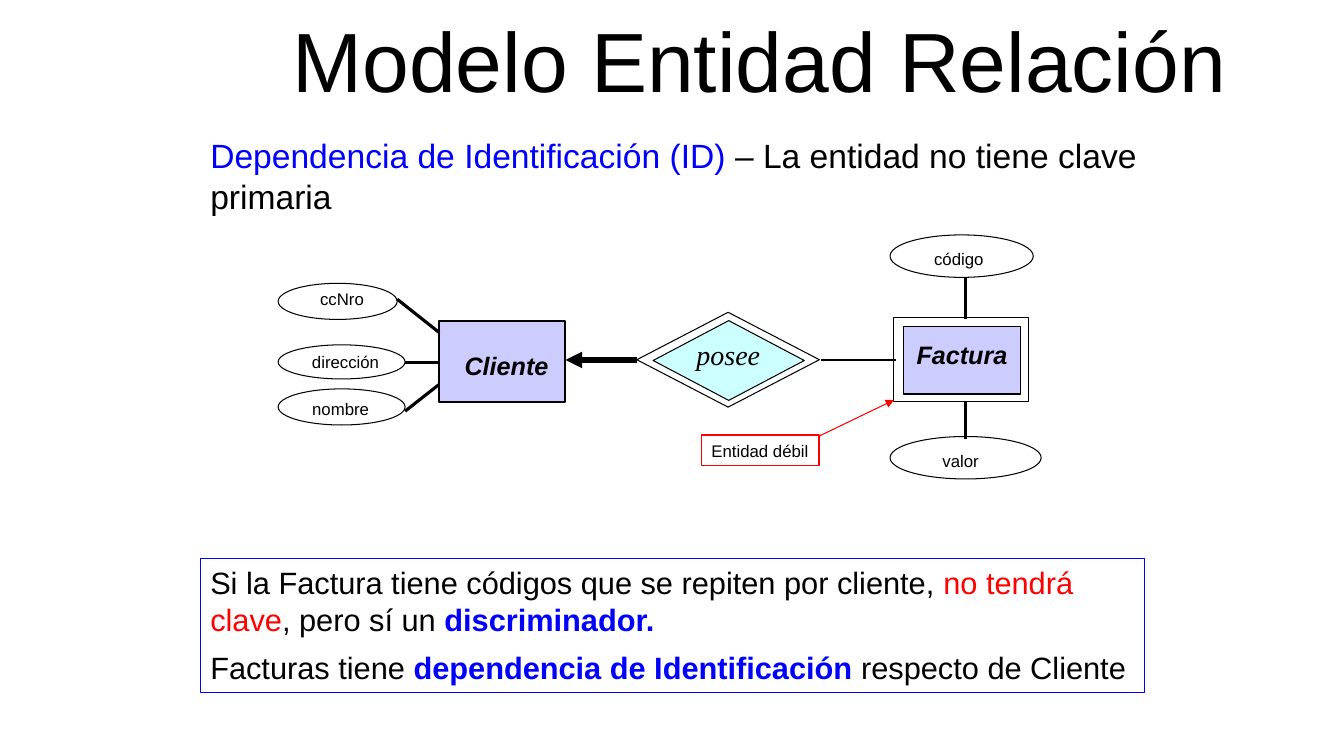
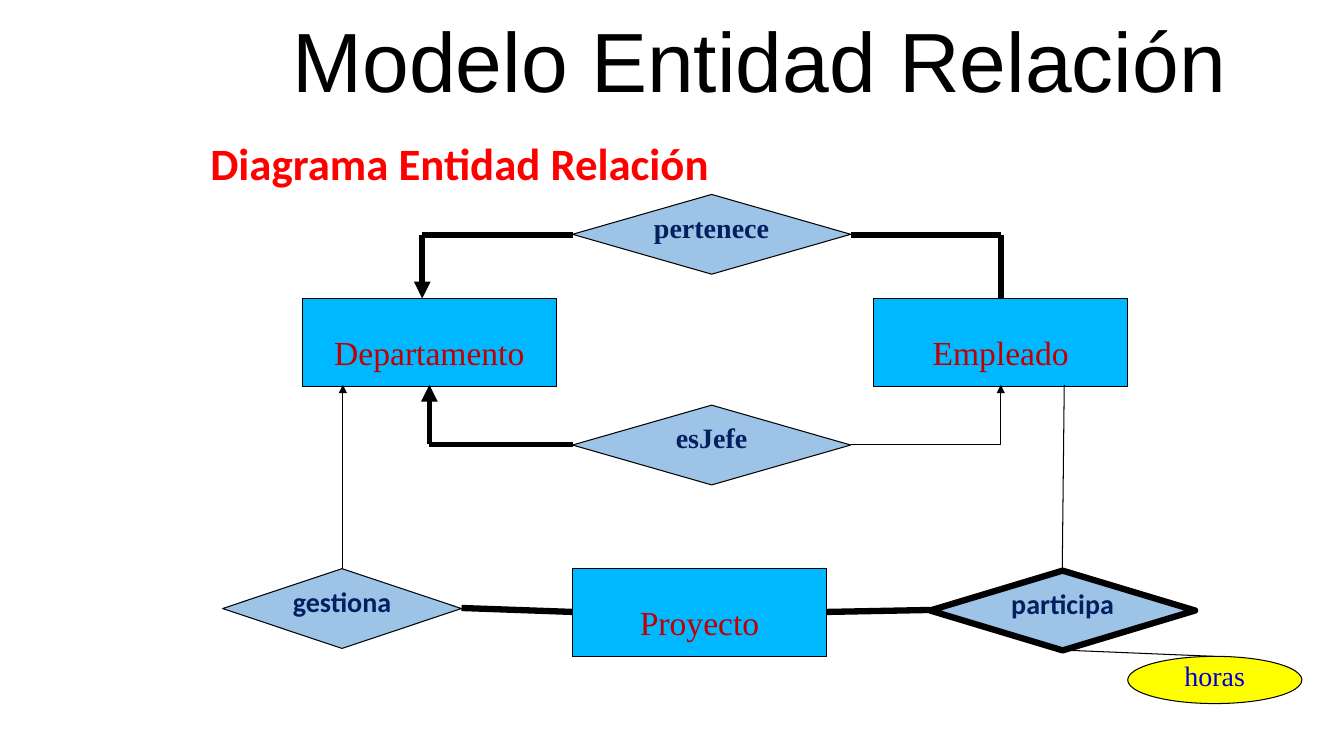
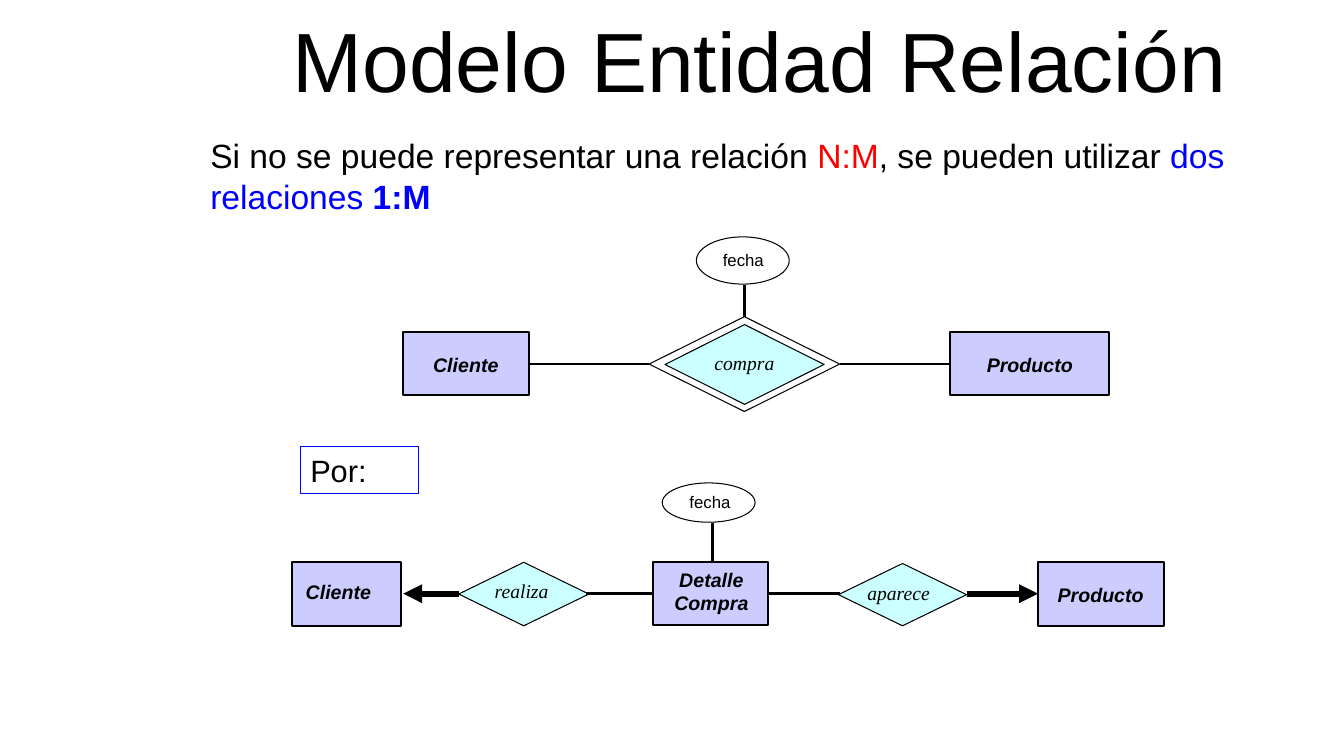
import lxml.etree
import pptx
import pptx.dml.color
import pptx.enum.shapes
import pptx.enum.text
import pptx.oxml.ns
import pptx.util

Cm = pptx.util.Cm
Pt = pptx.util.Pt
RGBColor = pptx.dml.color.RGBColor
MSO_SHAPE = pptx.enum.shapes.MSO_SHAPE
PP_ALIGN = pptx.enum.text.PP_ALIGN
MSO_ANCHOR = pptx.enum.text.MSO_ANCHOR
qn = pptx.oxml.ns.qn

BLACK = RGBColor(0x00, 0x00, 0x00)
BLUE = RGBColor(0x00, 0x00, 0xFF)
RED = RGBColor(0xFF, 0x00, 0x00)
LILAC = RGBColor(0xCC, 0xCC, 0xFF)
PALE_CYAN = RGBColor(0xCC, 0xFF, 0xFF)
SKY = RGBColor(0x00, 0xB8, 0xFF)
STEEL = RGBColor(0x9D, 0xC3, 0xE6)
YELLOW = RGBColor(0xFF, 0xFF, 0x00)
DARK_RED = RGBColor(0xC0, 0x00, 0x00)
NAVY = RGBColor(0x00, 0x20, 0x60)
INK_BLUE = RGBColor(0x00, 0x00, 0xCC)

SERIF = "Times New Roman"
TITLE_BOX = (5.05, 0, 28.17, 3.28)
INTRO_BOX = (5.05, 3.28, 26.44, 2.31)

# Shape style and label style of each role in the diagrams
ROLES = {
    "entity": (
        dict(kind=MSO_SHAPE.RECTANGLE, fill=LILAC, line=BLACK, width=1.5),
        dict(bold=True, italic=True, align=PP_ALIGN.CENTER),
    ),
    "weak entity": (
        dict(kind=MSO_SHAPE.RECTANGLE, fill=LILAC, line=BLACK),
        dict(bold=True, italic=True, align=PP_ALIGN.CENTER),
    ),
    "relation": (
        dict(kind=MSO_SHAPE.DIAMOND, fill=PALE_CYAN, line=BLACK),
        dict(font=SERIF, italic=True, align=PP_ALIGN.CENTER,
             anchor=MSO_ANCHOR.MIDDLE, spacing=0.95),
    ),
    "attribute": (
        dict(kind=MSO_SHAPE.OVAL, line=BLACK),
        dict(align=PP_ALIGN.CENTER, side_inset=0, wrap=False),
    ),
}


def add_box(slide, box, text="", kind=None, fill=None, line=None, width=0.75,
            font="Arial", size=12, color=BLACK, bold=False, italic=False,
            align=PP_ALIGN.LEFT, anchor=MSO_ANCHOR.TOP, spacing=None,
            before=0, top_inset=0.13, side_inset=0.25, wrap=True):
    """Add a shape, or a text box without kind; text is a string or a list
    of paragraphs, each a list of (text, color, bold) runs."""
    lengths = [Cm(value) for value in box]
    if kind is None:
        shape = slide.shapes.add_textbox(*lengths)
    else:
        shape = slide.shapes.add_shape(kind, *lengths)
        shape.shadow.inherit = False
    if fill is None:
        shape.fill.background()
    else:
        shape.fill.solid()
        shape.fill.fore_color.rgb = fill
    if line is None:
        shape.line.fill.background()
    else:
        shape.line.color.rgb = line
        shape.line.width = Pt(width)
    if not text:
        return
    frame = shape.text_frame
    frame.word_wrap = wrap
    frame.vertical_anchor = anchor
    frame.margin_top = Cm(top_inset)
    frame.margin_left = frame.margin_right = Cm(side_inset)
    paragraphs = [[(text, color, bold)]] if isinstance(text, str) else text
    for index, runs in enumerate(paragraphs):
        paragraph = frame.add_paragraph() if index else frame.paragraphs[0]
        paragraph.alignment = align
        if spacing:
            paragraph.line_spacing = spacing
        if index:
            paragraph.space_before = Pt(before)
        for run_text, run_color, run_bold in runs:
            run = paragraph.add_run()
            run.text = run_text
            run.font.name = font
            run.font.size = Pt(size)
            run.font.italic = italic
            run.font.bold = run_bold
            run.font.color.rgb = run_color


def add_line(slide, start, end, width, arrow=False, color=BLACK):
    connector = slide.shapes.add_connector(
        pptx.enum.shapes.MSO_CONNECTOR.STRAIGHT,
        *[Cm(value) for value in (*start, *end)])
    connector.line.color.rgb = color
    connector.line.width = Pt(width)
    properties = connector.element.spPr
    if arrow:
        outline = properties.find(qn("a:ln"))
        lxml.etree.SubElement(outline, qn("a:tailEnd"), type="triangle")
    lxml.etree.SubElement(properties, qn("a:effectLst"))


presentation = pptx.Presentation()
presentation.slide_width = Cm(33.87)
presentation.slide_height = Cm(19.05)

slides = []
for _ in range(3):
    slide = presentation.slides.add_slide(presentation.slide_layouts[5])
    title = slide.shapes.title
    title.left, title.top, title.width, title.height = map(Cm, TITLE_BOX)
    title.text_frame.text = "Modelo Entidad Relación"
    title.text_frame.vertical_anchor = MSO_ANCHOR.MIDDLE
    paragraph = title.text_frame.paragraphs[0]
    paragraph.alignment = PP_ALIGN.CENTER
    paragraph.line_spacing = 0.9
    paragraph.font.name = "Arial"
    paragraph.font.size = Pt(60)
    paragraph.font.color.rgb = BLACK
    slides.append(slide)
dependency_slide, diagram_slide, replacement_slide = slides

# Introductory texts
add_box(dependency_slide, INTRO_BOX, [[
    ("Dependencia de Identificación (ID) ", BLUE, False),
    ("– La entidad no tiene clave primaria", BLACK, False),
]], size=24)
add_box(diagram_slide, (*INTRO_BOX[:3], 1.63), "Diagrama Entidad Relación",
        font="Calibri", size=32, color=RED, bold=True)
add_box(replacement_slide, INTRO_BOX, [[
    ("Si no se puede representar una relación ", BLACK, False),
    ("N:M", RED, False),
    (", se pueden utilizar ", BLACK, False),
    ("dos relaciones ", BLUE, False),
    ("1:M", BLUE, True),
]], size=24)

# Outer outlines of the double-edged nodes
for slide, kind, box in [
    (dependency_slide, MSO_SHAPE.DIAMOND, (16.05, 7.87, 4.6, 2.39)),
    (dependency_slide, MSO_SHAPE.RECTANGLE, (22.53, 8, 3.38, 2.11)),
    (replacement_slide, MSO_SHAPE.DIAMOND, (16.36, 7.98, 4.8, 2.39)),
]:
    add_box(slide, box, kind=kind, line=BLACK)

# Nodes with their labels: role, node box, label box, text, text size
dependency_nodes = [
    ("entity", (11.07, 8.08, 3.18, 2.06), (11.28, 8.71, 2.97, 1.02), "Cliente", 18),
    ("relation", (16.46, 8.08, 3.81, 2.01), (17.07, 8.43, 2.57, 1.09), "posee", 20),
    ("weak entity", (22.76, 8.23, 2.97, 1.7), (22.76, 8.43, 2.97, 1.02), "Factura", 18),
    ("attribute", (7.01, 7.14, 3, 0.91), (7.82, 7.14, 1.6, 0.76), "ccNro", 12),
    ("attribute", (7.01, 8.69, 3.2, 0.86), (7.62, 8.74, 2.18, 0.76), "dirección", 12),
    ("attribute", (7.01, 9.8, 3.2, 0.91), (7.62, 9.93, 1.93, 0.76), "nombre", 12),
    ("attribute", (22.43, 5.92, 3.61, 1.07), (23.29, 6.15, 1.75, 0.76), "código", 12),
    ("attribute", (22.43, 11, 3.81, 1.07), (23.5, 11.23, 1.42, 0.76), "valor", 12),
]
replacement_nodes = [
    ("entity", (10.16, 8.36, 3.18, 1.6), (10.57, 8.76, 2.34, 0.86), "Cliente", 14),
    ("relation", (16.76, 8.18, 4.01, 2.01), (17.17, 8.74, 3.18, 0.84), "compra", 14),
    ("entity", (23.95, 8.36, 4.01, 1.6), (23.95, 8.76, 4.01, 0.86), "Producto", 14),
    ("attribute", (17.55, 5.97, 2.34, 1.19), (17.96, 6.17, 1.55, 0.76), "fecha", 12),
    ("entity", (7.37, 14.17, 2.74, 1.6), (7.26, 14.48, 2.54, 0.86), "Cliente", 14),
    ("relation", (11.56, 14.17, 3.28, 1.6), (11.89, 14.5, 2.51, 0.84), "realiza", 14),
    ("entity", (16.46, 14.17, 2.9, 1.57), (16.56, 14.17, 2.74, 1.45), "Detalle Compra", 14),
    ("relation", (21.13, 14.2, 3.23, 1.57), (21.44, 14.53, 2.41, 0.84), "aparece", 14),
    ("entity", (26.16, 14.17, 3.18, 1.6), (26.37, 14.55, 2.74, 0.86), "Producto", 14),
    ("attribute", (16.69, 12.17, 2.34, 0.99), (17.12, 12.27, 1.55, 0.76), "fecha", 12),
]
for slide, nodes in [(dependency_slide, dependency_nodes),
                     (replacement_slide, replacement_nodes)]:
    for role, box, label_box, text, size in nodes:
        shape_style, label_style = ROLES[role]
        add_box(slide, box, **shape_style)
        add_box(slide, label_box, text, size=size, **label_style)

# Framed notes
add_box(dependency_slide, (17.68, 10.97, 2.97, 0.76), "Entidad débil",
        kind=MSO_SHAPE.RECTANGLE, line=RED, width=1.25, wrap=False)
add_box(dependency_slide, (5.05, 14.07, 23.8, 3.38), [
    [("Si la Factura tiene códigos que se repiten por cliente, ", BLACK, False),
     ("no tendrá clave", RED, False),
     (", pero sí un ", BLACK, False),
     ("discriminador.", BLUE, True)],
    [("Facturas tiene ", BLACK, False),
     ("dependencia de Identificación ", BLUE, True),
     ("respecto de Cliente", BLACK, False)],
], kind=MSO_SHAPE.RECTANGLE, line=BLUE, size=22, before=8)
add_box(replacement_slide, (7.57, 11.25, 2.97, 1.19), "Por:",
        kind=MSO_SHAPE.RECTANGLE, line=BLUE, size=22)

# Nodes of the full diagram
for left, top, text in [(7.62, 7.52, "Departamento"), (22.02, 7.52, "Empleado"),
                        (14.43, 14.33, "Proyecto")]:
    add_box(diagram_slide, (left, top, 6.4, 2.21), text,
            kind=MSO_SHAPE.RECTANGLE, fill=SKY, line=BLACK, font=SERIF, size=24,
            color=DARK_RED, align=PP_ALIGN.CENTER, top_inset=0.85)
for left, top, breadth, text, font, width in [
    (14.43, 4.9, 7.01, "pertenece", SERIF, 0.75),
    (14.43, 10.21, 7.01, "esJefe", SERIF, 0.75),
    (5.61, 14.33, 6.02, "gestiona", "Calibri", 0.75),
    (23.44, 14.38, 6.68, "participa", "Calibri", 4.5),
]:
    add_box(diagram_slide, (left, top, breadth, 2.01), text,
            kind=MSO_SHAPE.DIAMOND, fill=STEEL, line=BLACK, width=width, font=font,
            size=20, color=NAVY, bold=True, align=PP_ALIGN.CENTER, spacing=0.69)
add_box(diagram_slide, (28.42, 16.54, 4.39, 1.19), "horas", kind=MSO_SHAPE.OVAL,
        fill=YELLOW, line=BLACK, font=SERIF, size=20, color=INK_BLUE,
        align=PP_ALIGN.CENTER, spacing=0.69)

# Connections: start, end, width, arrowhead at the end
dependency_lines = [
    ((16.05, 9.07), (14.25, 9.07), 4, True),
    ((20.68, 9.07), (22.58, 9.07), 1, False),
    ((10.01, 7.54), (11.07, 8.38), 2.25, False),
    ((10.21, 9.14), (11.05, 9.14), 2.25, False),
    ((10.21, 10.36), (11.05, 9.7), 2.25, False),
    ((24.33, 6.98), (24.33, 8.05), 2.25, False),
    ((24.33, 11.05), (24.33, 10.13), 2.25, False),
]
diagram_lines = [
    ((21.44, 5.92), (25.22, 5.92), 4, False),
    ((25.22, 5.92), (25.22, 7.52), 4, False),
    ((14.43, 5.92), (10.64, 5.92), 4, False),
    ((10.64, 5.92), (10.64, 7.52), 4, True),
    ((14.43, 11.2), (10.82, 11.2), 4, False),
    ((10.82, 11.2), (10.82, 9.7), 4, True),
    ((21.44, 11.2), (25.22, 11.2), 0.75, False),
    ((25.22, 11.2), (25.22, 9.7), 0.75, True),
    ((8.64, 14.33), (8.64, 9.7), 0.75, True),
    ((11.63, 15.32), (14.43, 15.42), 4.5, False),
    ((20.83, 15.42), (23.44, 15.37), 4.5, False),
    ((26.77, 14.33), (26.82, 9.7), 0.75, False),
    ((26.77, 16.38), (30.63, 16.54), 0.75, False),
]
replacement_lines = [
    ((13.36, 9.17), (16.36, 9.17), 2, False),
    ((21.16, 9.17), (23.95, 9.17), 2, False),
    ((18.77, 8), (18.77, 7.19), 2.25, False),
    ((11.56, 14.96), (10.16, 14.96), 4.5, True),
    ((14.76, 14.96), (16.46, 14.96), 2, False),
    ((19.35, 14.96), (21.16, 14.96), 2, False),
    ((24.36, 14.96), (26.16, 14.96), 4.5, True),
    ((17.96, 14.17), (17.96, 13.18), 2.25, False),
]
for slide, lines in zip(slides, [dependency_lines, diagram_lines, replacement_lines]):
    for start, end, width, arrow in lines:
        add_line(slide, start, end, width, arrow)
add_line(dependency_slide, (20.62, 11), (22.53, 10.08), 0.75, arrow=True, color=RED)

presentation.save("out.pptx")
